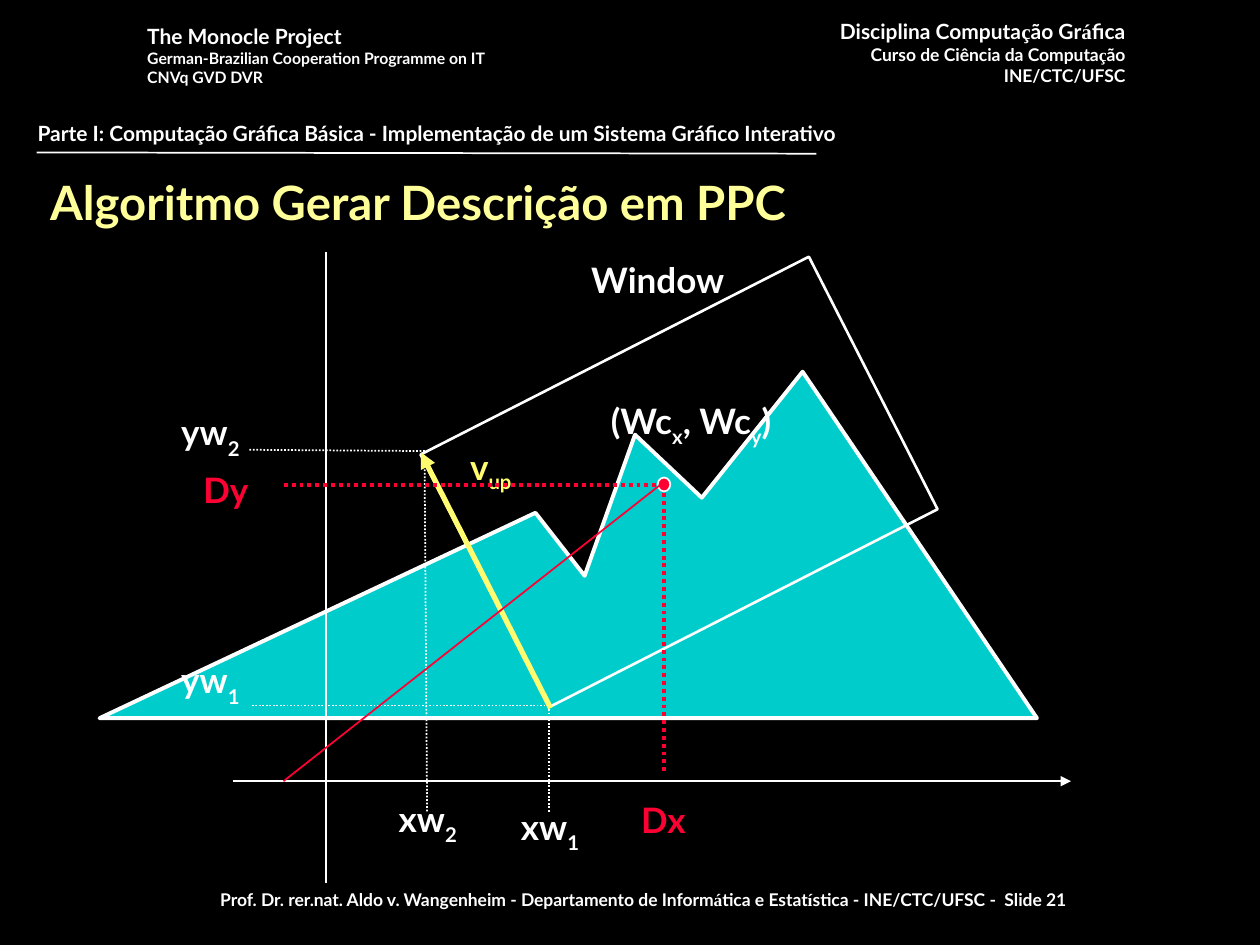
"""Build the slide on generating a PPC description: a rotated window over a mountain."""
import pptx
import pptx.util
import pptx.dml.color
import pptx.enum.dml
import pptx.enum.shapes
import pptx.enum.text
import pptx.oxml.ns
from lxml import etree

THEME = {
    "font": "Lato", "accent_font": "Times New Roman",
    "back": "000000", "white": "FFFFFF", "red": "FF0033", "yellow": "FFFC6F",
    "title": "FFFF99", "mountain": "00CCCC",
    "title_size": 27, "label_size": 20, "head_size": 12, "sub_size": 10, "small_size": 9,
}
RGB = pptx.dml.color.RGBColor.from_string
SHAPE = pptx.enum.shapes.MSO_SHAPE
ALIGN = {"l": pptx.enum.text.PP_ALIGN.LEFT, "c": pptx.enum.text.PP_ALIGN.CENTER,
         "r": pptx.enum.text.PP_ALIGN.RIGHT}
DOT = pptx.enum.dml.MSO_LINE.ROUND_DOT

prs = pptx.Presentation()
prs.slide_width = pptx.util.Inches(10)
prs.slide_height = pptx.util.Inches(7.5)
COL = prs.slide_width / 100
ROW = prs.slide_height / 75
s = prs.slides.add_slide(prs.slide_layouts[6])
s.background.fill.solid()
s.background.fill.fore_color.rgb = RGB(THEME["back"])


def add_text(box, *lines, size="label_size", color="white", align="l", wrap=True, grow=True,
             base=-30, fill=None):
    """Each line is a string; _x_ marks a subscript and ~x~ the accent font."""
    x, y, w, h = box
    sp = s.shapes.add_textbox(int(x * COL), int(y * ROW), int(w * COL), int(h * ROW))
    if fill:
        sp.fill.solid()
        sp.fill.fore_color.rgb = RGB(THEME[fill])
    tf = sp.text_frame
    tf.word_wrap = wrap
    if grow:
        tf.auto_size = pptx.enum.text.MSO_AUTO_SIZE.SHAPE_TO_FIT_TEXT
    sizes = size if isinstance(size, tuple) else (size,) * len(lines)
    for i, (line, line_size) in enumerate(zip(lines, sizes)):
        p = tf.add_paragraph() if i else tf.paragraphs[0]
        p.alignment = ALIGN[align]
        mark = "_" if "_" in line else "~"
        for j, part in enumerate(line.split(mark)):
            if not part:
                continue
            r = p.add_run()
            r.text = part
            r.font.bold = True
            r.font.size = pptx.util.Pt(THEME[line_size])
            r.font.color.rgb = RGB(THEME[color])
            marked = j % 2 == 1
            r.font.name = THEME["accent_font" if marked and mark == "~" else "font"]
            if marked and mark == "_":
                r.font._element.set("baseline", str(base * 1000))


def add_line(x1, y1, x2, y2, color="white", width=1, dash=None, arrow=False):
    c = s.shapes.add_connector(pptx.enum.shapes.MSO_CONNECTOR.STRAIGHT, int(x1 * COL),
                               int(y1 * ROW), int(x2 * COL), int(y2 * ROW))
    c.line.color.rgb = RGB(THEME[color])
    c.line.width = pptx.util.Pt(width)
    if dash:
        c.line.dash_style = dash
    if arrow:
        tail = etree.SubElement(c.line._get_or_add_ln(), pptx.oxml.ns.qn("a:tailEnd"))
        tail.set("type", "triangle")
    etree.SubElement(c._element.spPr, pptx.oxml.ns.qn("a:effectLst"))


add_text((63.1, 1, 27.2, 6.4), "Disciplina Computa~ç~ão Gr~á~fica",
         "Curso de Ciência da Computa~ç~ão", "INE/CTC/UFSC",
         size=("head_size", "sub_size", "sub_size"), align="r", wrap=False)
add_text((10.7, 1.4, 32.1, 6), "The Monocle Project",
         "German-Brazilian Cooperation Programme on IT", "CNVq GVD DVR",
         size=("head_size", "small_size", "small_size"), wrap=False)
add_text((6.9, 70.1, 88.3, 2.9),
         "Prof. Dr. rer.nat. Aldo v. Wangenheim - Departamento de Inform~á~tica e Estat~í~stica"
         " - INE/CTC/UFSC -  Slide 21", size="sub_size", align="c")
add_line(2.9, 12.1, 64.8, 12.2)
add_text((2, 9.1, 95, 3),
         "Parte I: Computação Gráfica Básica - Implementação de um Sistema Gráfico Interativo",
         size="head_size")

peaks = [(7.9, 57), (42.5, 40.7), (46.4, 45.7), (50.4, 34.5), (55.7, 39.5), (63.7, 29.5)]
outline = [(int(x * COL), int(y * ROW)) for x, y in peaks]
builder = s.shapes.build_freeform(int(82.3 * COL), int(57 * ROW))
builder.add_line_segments(outline, close=True)
mountain = builder.convert_to_shape()
window = s.shapes.add_shape(SHAPE.RECTANGLE, int(36.6 * COL), int(27 * ROW),
                            int(34.6 * COL), int(22.5 * ROW))
window.rotation = 333
center = s.shapes.add_shape(SHAPE.OVAL, int(52.2 * COL), int(37.9 * ROW),
                            int(1 * COL), int(1.1 * ROW))
for sp, fill, width in ((mountain, "mountain", 2.25), (window, None, 1.5), (center, "red", 1)):
    sp.shadow.inherit = False
    sp.line.color.rgb = RGB(THEME["white"])
    sp.line.width = pptx.util.Pt(width)
    if fill:
        sp.fill.solid()
        sp.fill.fore_color.rgb = RGB(THEME[fill])
    else:
        sp.fill.background()

add_line(25.9, 70.1, 25.9, 13.8, arrow=True)
add_line(18.5, 62, 85, 62, arrow=True)
for guide in ((43.6, 56, 43.6, 64.5), (33.7, 36.7, 33.9, 64.4),
              (20, 56, 44, 56), (19.8, 35.7, 33.9, 35.8)):
    add_line(*guide, dash=DOT)
add_line(43.7, 56.2, 33.4, 35.9, color="yellow", width=3, arrow=True)

add_text((45.6, 20, 13.2, 4.4), "Window", align="c", wrap=False)
add_text((40.2, 63.4, 6.9, 5), "xw_1_", align="c", wrap=False)
add_text((30.3, 62.8, 7.3, 5), "xw_2_", align="c")
for y, label in ((32.1, "yw_2_"), (51.8, "yw_1_")):
    add_text((13.1, y, 6.9, 5), label, align="r", wrap=False)
add_text((36, 34.9, 5.9, 4.8), "v_up_", color="yellow", align="c", base=-25)
add_text((47.5, 31.2, 15.2, 8.9), "(Wc_x_, Wc_y_)")
add_text((3, 13.3, 96.7, 6.7), "Algoritmo Gerar Descrição em PPC", size="title_size",
         color="title", grow=False, fill="back")

add_line(22.5, 62, 52.5, 38.4, color="red")
for end in ((22.4, 38.5), (52.7, 61.5)):
    add_line(52.7, 38.5, *end, color="red", width=2.25, dash=DOT)
for x, y, label in ((15.1, 36.7, "Dy"), (49.8, 62.9, "Dx")):
    add_text((x, y, 5.6, 4.4), label, color="red", align="r", wrap=False)

prs.save("out.pptx")
